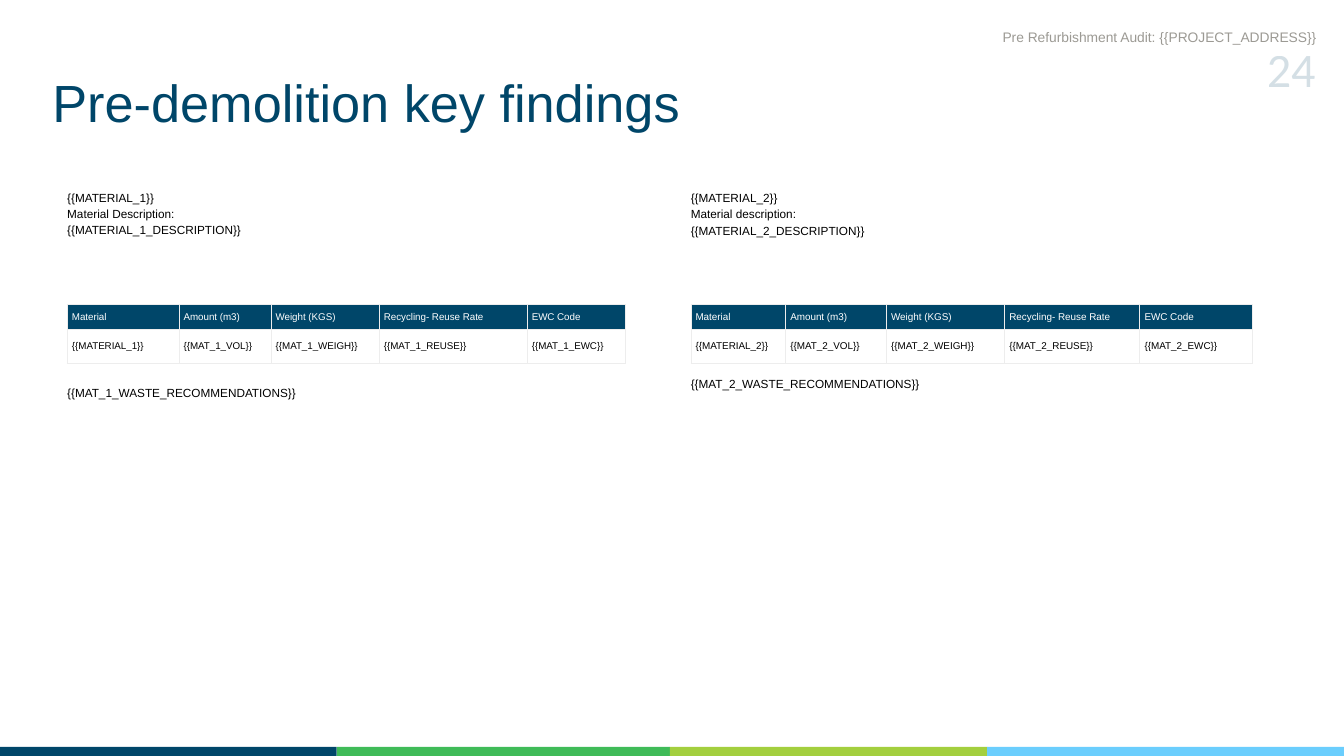
from lxml.etree import SubElement
from pptx import Presentation
from pptx.dml.color import RGBColor
from pptx.enum.shapes import MSO_SHAPE
from pptx.enum.text import MSO_ANCHOR, MSO_AUTO_SIZE, PP_ALIGN
from pptx.oxml import parse_xml
from pptx.oxml.ns import nsdecls, qn
from pptx.util import Cm, Pt

COLORS = {
    "navy": "004669", "green": "3FBB58", "lime": "A3CF3E", "sky": "6BCEFD",
    "black": "000000", "white": "FFFFFF", "gray": "9C9A94", "border": "EDEDED",
}


def write(tf, lines, size, color, spacing, font="Arial", align=PP_ALIGN.LEFT,
          anchor=MSO_ANCHOR.TOP, margin=0):
    frame_format = {"word_wrap": True, "auto_size": MSO_AUTO_SIZE.NONE, "vertical_anchor": anchor}
    for side in ("left", "top", "right", "bottom"):
        frame_format[f"margin_{side}"] = Cm(margin)
    for name, value in frame_format.items():
        setattr(tf, name, value)
    for i, line in enumerate(lines):
        p = tf.paragraphs[0] if i == 0 else tf.add_paragraph()
        for name, value in {"alignment": align, "line_spacing": Pt(spacing),
                            "space_before": Pt(0)}.items():
            setattr(p, name, value)
        r = p.add_run()
        r.text = line
        for name, value in {"name": font, "size": Pt(size), "bold": False}.items():
            setattr(r.font, name, value)
        r.font.color.rgb = RGBColor.from_string(COLORS[color])


def add_text(s, box, lines, *args, **kwargs):
    sp = s.shapes.add_textbox(*[Cm(v) for v in box])
    write(sp.text_frame, lines, *args, **kwargs)
    return sp


prs = Presentation()
prs.slide_width, prs.slide_height = Cm(50.8), Cm(28.58)
s = prs.slides.add_slide(prs.slide_layouts[5])

# Title
title = s.shapes.title
title.left, title.top, title.width, title.height = Cm(1.98), Cm(2.26), Cm(31.75), Cm(2.97)
write(title.text_frame, ["Pre-demolition key findings"], 56, "navy", 78.4)

# One column per material: description, table, recommendations
materials = [
    {"left": 2.54, "label": "Material Description:", "cols": [4.22, 3.48, 4.09, 5.59, 3.73],
     "body": (12.6, 17.6), "cell": (10.5, 11.3), "advice": (14.5, 0.64)},
    {"left": 26.11, "label": "Material description:", "cols": [3.58, 3.81, 4.47, 5.11, 4.24],
     "body": (12.6, 17.7), "cell": (10.6, 11.4), "advice": (14.15, 1.24)},
]
headers = ["Material", "Amount (m3)", "Weight (KGS)", "Recycling- Reuse Rate", "EWC Code"]
row_heights = [0.94, 1.3]

for n, m in enumerate(materials, 1):
    left, width = m["left"], sum(m["cols"])
    size, spacing = m["body"]
    add_text(s, (left, 7.11, width, 3.05),
             [f"{{{{MATERIAL_{n}}}}}", m["label"], f"{{{{MATERIAL_{n}_DESCRIPTION}}}}"],
             size, "black", spacing)

    table = s.shapes.add_table(2, len(headers), Cm(left), Cm(11.51),
                               Cm(width), Cm(sum(row_heights))).table
    table.horz_banding = False
    for col, w in zip(table.columns, m["cols"]):
        col.width = Cm(w)
    for row, h in zip(table.rows, row_heights):
        row.height = Cm(h)
    fields = [f"MATERIAL_{n}"] + [f"MAT_{n}_{key}" for key in ("VOL", "WEIGH", "REUSE", "EWC")]
    values = [f"{{{{{field}}}}}" for field in fields]
    size, spacing = m["cell"]
    for i, (texts, fill, color) in enumerate([(headers, "navy", "white"),
                                              (values, "white", "black")]):
        for j, text in enumerate(texts):
            cell = table.cell(i, j)
            write(cell.text_frame, [text], size, color, spacing)
            cell.vertical_anchor = MSO_ANCHOR.MIDDLE
            for side in ("left", "top", "right", "bottom"):
                setattr(cell, f"margin_{side}", Cm(0.18))
            # Borders go ahead of the fill in the cell properties
            tcPr = cell._tc.get_or_add_tcPr()
            for edge in ("lnL", "lnR", "lnT", "lnB"):
                tcPr.append(parse_xml(
                    f'<a:{edge} {nsdecls("a")} w="{Pt(0.66)}"><a:solidFill>'
                    f'<a:srgbClr val="{COLORS["border"]}"/></a:solidFill></a:{edge}>'))
            cell.fill.solid()
            cell.fill.fore_color.rgb = RGBColor.from_string(COLORS[fill])

    top, height = m["advice"]
    add_text(s, (left, top, width, height), [f"{{{{MAT_{n}_WASTE_RECOMMENDATIONS}}}}"],
             m["body"][0], "black", m["body"][1])

# Colour band along the bottom
edges = [0, 12.73, 25.32, 37.31, 51.23]
for x1, x2, color in zip(edges, edges[1:], ["navy", "green", "lime", "sky"]):
    sp = s.shapes.add_shape(MSO_SHAPE.RECTANGLE, Cm(x1), Cm(28.24), Cm(x2 - x1), Cm(0.66))
    sp.shadow.inherit = False
    sp.fill.solid()
    sp.fill.fore_color.rgb = RGBColor.from_string(COLORS[color])
    sp.line.fill.background()

# Page number, mostly transparent
sp = add_text(s, (46.76, 1.12, 2.97, 2.82), ["24"], 51.6, "navy", 72.3,
              font="Calibri", align=PP_ALIGN.RIGHT)
for clr in sp._element.iter(qn("a:srgbClr")):
    SubElement(clr, qn("a:alpha")).set("val", "17000")

# Running header
add_text(s, (30.99, 0.99, 18.77, 0.76), ["Pre Refurbishment Audit: {{PROJECT_ADDRESS}}"],
         14.8, "gray", 20.6, align=PP_ALIGN.RIGHT)

prs.save("out.pptx")
